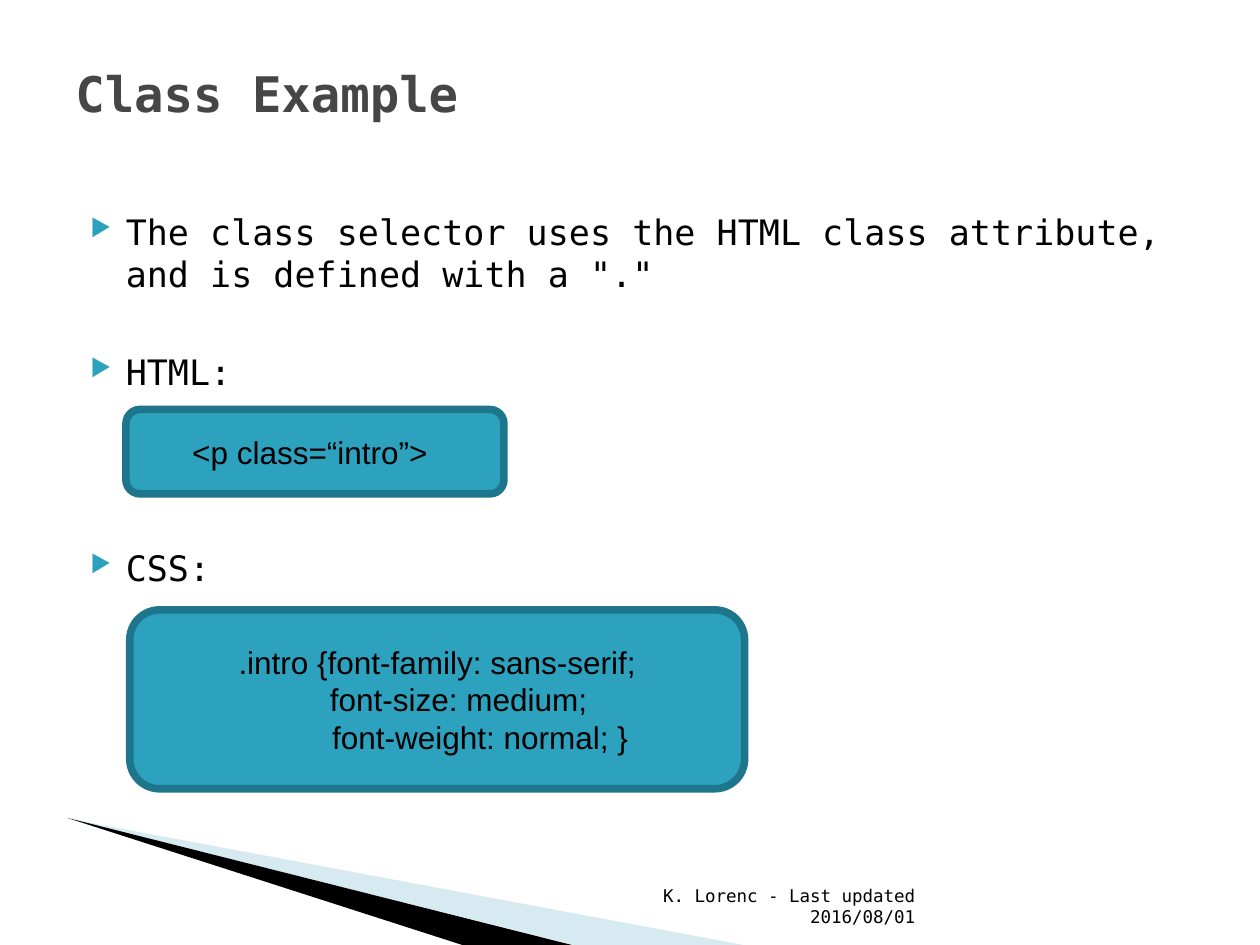
from dataclasses import dataclass

from lxml.etree import SubElement
from pptx import Presentation
from pptx.dml.color import RGBColor
from pptx.enum.shapes import MSO_SHAPE
from pptx.enum.text import MSO_ANCHOR, PP_ALIGN
from pptx.oxml.ns import qn
from pptx.util import Inches, Pt


@dataclass(frozen=True)
class Theme:
    mono: str = "DejaVu Sans Mono"
    sans: str = "Arial"
    black: str = "000000"
    heading: str = "464646"
    accent: str = "2DA2BF"
    border: str = "1E768C"
    pale: str = "9FCBDC"
    title_size: float = 28
    body_size: float = 20
    code_size: float = 18
    footer_size: float = 10
    border_width: float = 4.33


@dataclass(frozen=True)
class Box:
    left: float
    top: float
    width: float
    height: float

    def lengths(self) -> list:
        return [Inches(value) for value in (self.left, self.top, self.width, self.height)]


@dataclass(frozen=True)
class Bullet:
    text: str
    space_before: float


@dataclass(frozen=True)
class CodeLine:
    text: str
    left_margin: float = 0
    right_margin: float = 0


@dataclass(frozen=True)
class CodePanel:
    box: Box
    lines: tuple


@dataclass(frozen=True)
class Wedge:
    points: tuple
    color: str
    opacity: int = 100


THEME = Theme()

WEDGES = (
    Wedge(((0.55, 6.5), (5.9, 7.5), (4.56, 7.5)), THEME.pale, 40),
    Wedge(((0.53, 6.49), (4.54, 7.5), (3.67, 7.5)), THEME.black),
)
BULLETS = (
    Bullet('The class selector uses the HTML class attribute, and is defined with a "."', 4),
    Bullet("HTML:", 32),
    Bullet("CSS:", 88),
)
CODE_PANELS = (
    CodePanel(Box(1, 3.25, 3, 0.67), (CodeLine("<p class=“intro”>", right_margin=0.08),)),
    CodePanel(
        Box(1.03, 4.84, 4.88, 1.42),
        (
            CodeLine(".intro {font-family: sans-serif;"),
            CodeLine("font-size: medium;", left_margin=0.34),
            CodeLine("font-weight: normal; }", left_margin=0.68),
        ),
    ),
)


def set_font(paragraph, name: str, size: float, color: str, bold: bool = False) -> None:
    font = paragraph.font
    font.name, font.size, font.bold = name, Pt(size), bold
    font.color.rgb = RGBColor.from_string(color)


def set_margins(paragraph, left: float, right: float = 0, indent: float = 0) -> None:
    properties = paragraph._p.get_or_add_pPr()
    for key, value in (("marL", left), ("marR", right), ("indent", indent)):
        properties.set(key, str(Inches(value)))


def fill_paragraphs(frame, items: tuple) -> list:
    """Write one paragraph per item and return them in order."""
    frame.word_wrap = True
    frame.text = "\n".join(item.text for item in items)
    return list(zip(frame.paragraphs, items))


def add_wedge(slide, wedge: Wedge) -> None:
    start, *others = [(Inches(x), Inches(y)) for x, y in wedge.points]
    builder = slide.shapes.build_freeform(*start)
    builder.add_line_segments(others, close=True)
    shape = builder.convert_to_shape()
    shape.shadow.inherit = False
    shape.fill.solid()
    shape.fill.fore_color.rgb = RGBColor.from_string(wedge.color)
    shape.line.fill.background()
    if wedge.opacity < 100:
        color = shape._element.spPr.find(qn("a:solidFill"))[0]
        SubElement(color, qn("a:alpha"), val=str(wedge.opacity * 1000))


def add_label(slide, box: Box, text: str, size: float, color: str, anchor: MSO_ANCHOR,
              alignment: PP_ALIGN = PP_ALIGN.LEFT, bold: bool = False) -> None:
    frame = slide.shapes.add_textbox(*box.lengths()).text_frame
    frame.word_wrap = True
    frame.vertical_anchor = anchor
    paragraph = frame.paragraphs[0]
    paragraph.text = text
    paragraph.alignment = alignment
    set_font(paragraph, THEME.mono, size, color, bold)


def add_bullet_list(slide, box: Box, bullets: tuple) -> None:
    frame = slide.shapes.add_textbox(*box.lengths()).text_frame
    for paragraph, bullet in fill_paragraphs(frame, bullets):
        paragraph.space_before = Pt(bullet.space_before)
        set_font(paragraph, THEME.mono, THEME.body_size, THEME.black)
        set_margins(paragraph, 0.4, indent=-0.28)
        # Bullet elements belong after spacing and before the run defaults
        properties = paragraph._p.get_or_add_pPr()
        defaults = properties.find(qn("a:defRPr"))
        color = SubElement(properties, qn("a:buClr"))
        SubElement(color, qn("a:srgbClr"), val=THEME.accent)
        SubElement(properties, qn("a:buSzPct"), val="68000")
        SubElement(properties, qn("a:buChar"), char="▶")
        properties.append(defaults)


def add_code_panel(slide, panel: CodePanel) -> None:
    shape = slide.shapes.add_shape(MSO_SHAPE.ROUNDED_RECTANGLE, *panel.box.lengths())
    shape.shadow.inherit = False
    shape.fill.solid()
    shape.fill.fore_color.rgb = RGBColor.from_string(THEME.accent)
    shape.line.color.rgb = RGBColor.from_string(THEME.border)
    shape.line.width = Pt(THEME.border_width)
    shape.text_frame.vertical_anchor = MSO_ANCHOR.MIDDLE
    for paragraph, line in fill_paragraphs(shape.text_frame, panel.lines):
        paragraph.alignment = PP_ALIGN.CENTER
        set_font(paragraph, THEME.sans, THEME.code_size, THEME.black)
        set_margins(paragraph, line.left_margin, line.right_margin)


def main() -> None:
    presentation = Presentation()
    presentation.slide_width, presentation.slide_height = Inches(10), Inches(7.5)
    slide = presentation.slides.add_slide(presentation.slide_layouts[6])

    # Corner decoration
    for wedge in WEDGES:
        add_wedge(slide, wedge)

    # Footer and title
    add_label(slide, Box(4.57, 7.01, 2.79, 0.4), "K. Lorenc - Last updated 2016/08/01",
              THEME.footer_size, THEME.black, MSO_ANCHOR.BOTTOM, PP_ALIGN.RIGHT)
    add_label(slide, Box(0.5, 0.3, 9, 0.87), "Class Example",
              THEME.title_size, THEME.heading, MSO_ANCHOR.MIDDLE, bold=True)

    # Bullets and their code samples
    add_bullet_list(slide, Box(0.5, 1.62, 9, 4.95), BULLETS)
    for panel in CODE_PANELS:
        add_code_panel(slide, panel)

    presentation.save("out.pptx")


if __name__ == "__main__":
    main()
